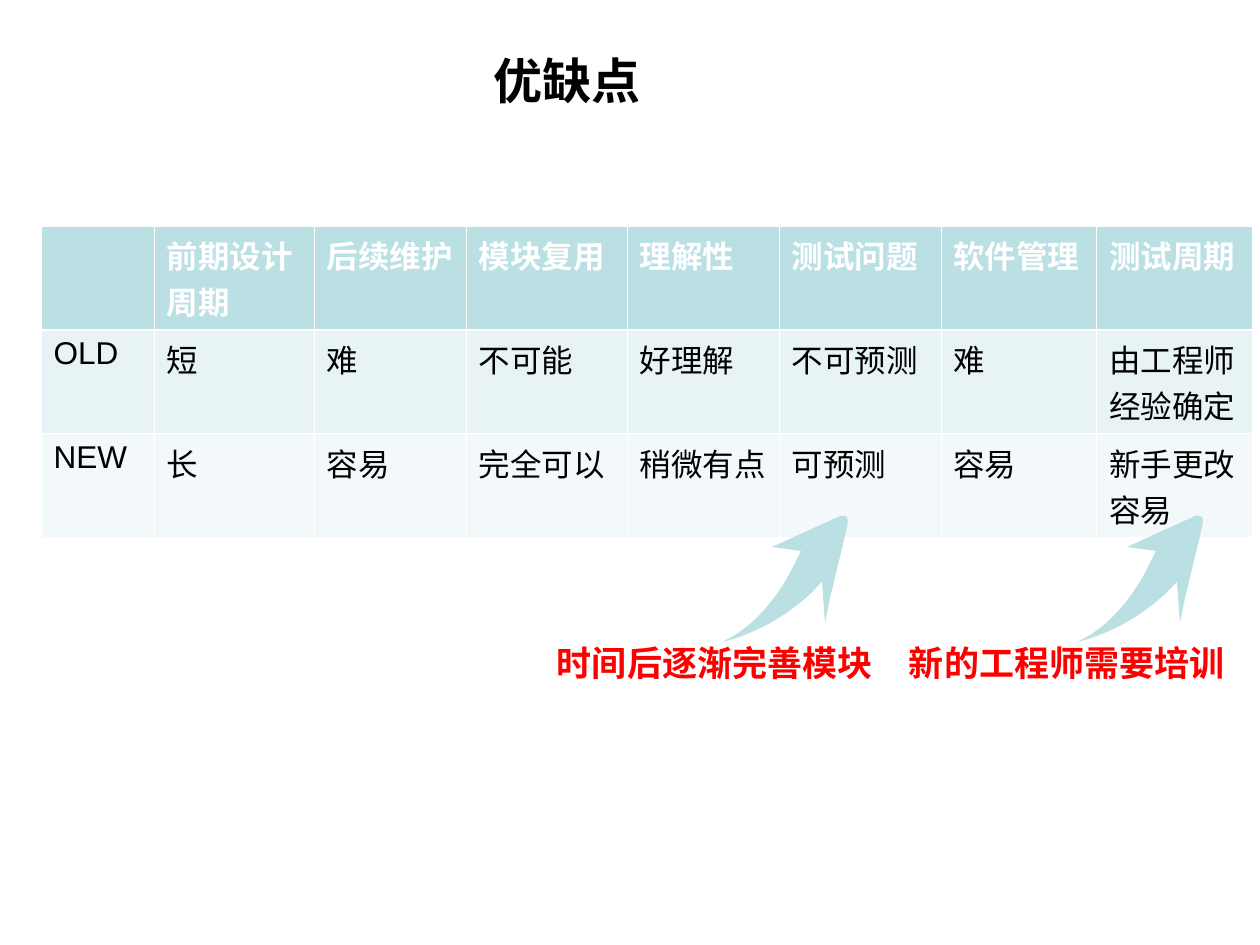
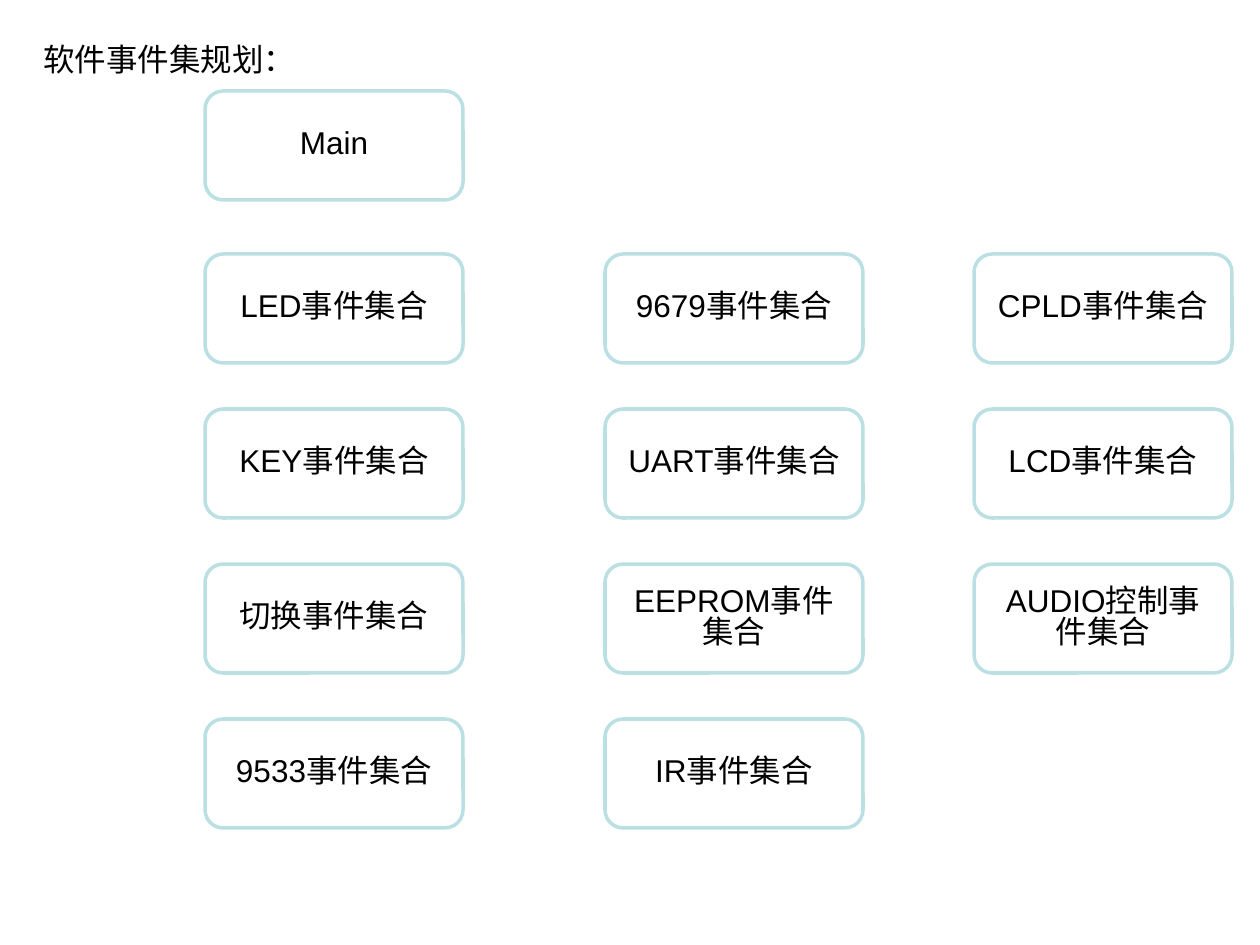
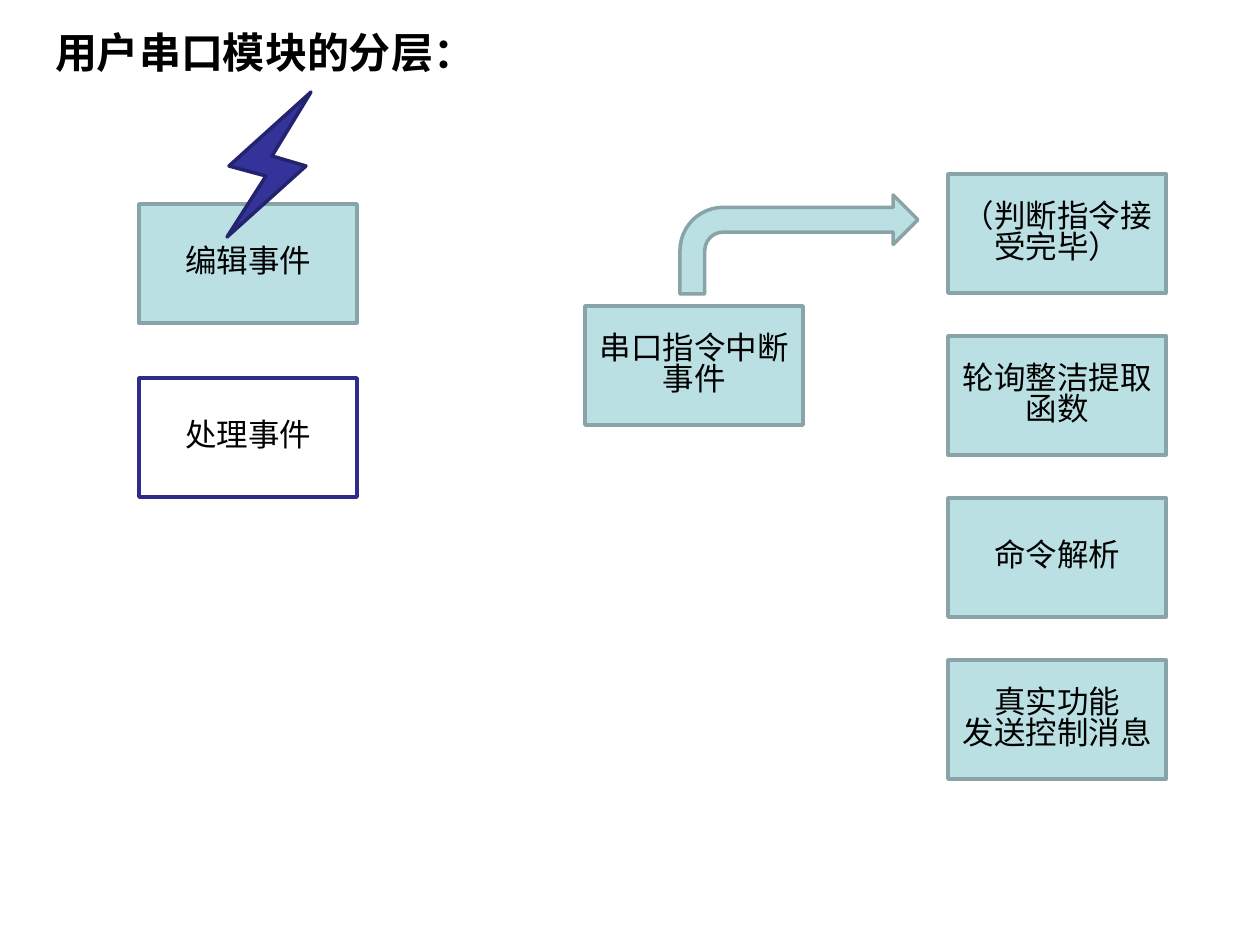
"""Build three slides on an event-driven firmware design: trade-offs, event sets and serial layers."""
from lxml import etree
from pptx import Presentation
from pptx.dml.color import RGBColor
from pptx.enum.shapes import MSO_SHAPE
from pptx.enum.text import MSO_ANCHOR, PP_ALIGN
from pptx.oxml.ns import qn
from pptx.util import Emu, Pt

RECTANGLE = MSO_SHAPE.RECTANGLE
EVENT_SHAPE = MSO_SHAPE.FLOWCHART_ALTERNATE_PROCESS
BENT_ARROW = MSO_SHAPE.BENT_ARROW
LEFT, CENTER = PP_ALIGN.LEFT, PP_ALIGN.CENTER
TOP, MIDDLE = MSO_ANCHOR.TOP, MSO_ANCHOR.MIDDLE

BLACK = RGBColor(0x00, 0x00, 0x00)
WHITE = RGBColor(0xFF, 0xFF, 0xFF)
RED = RGBColor(0xFF, 0x00, 0x00)
TEAL = RGBColor(0xBB, 0xE0, 0xE3)
TEAL_EDGE = RGBColor(0x89, 0xA4, 0xA7)
TEAL_LIGHT = RGBColor(0xE7, 0xF3, 0xF4)
TEAL_PALE = RGBColor(0xF3, 0xF9, 0xFA)
INDIGO = RGBColor(0x33, 0x33, 0x99)
INDIGO_EDGE = RGBColor(0x23, 0x23, 0x6F)
INDIGO_LINE = RGBColor(0x2D, 0x2D, 0x89)

FONT = "Arial"
PX_PER_INCH = 126
TITLE_ONLY = 5
SIDE_MARGIN, EDGE_MARGIN = 13, 6
BOX_SPACING = 0.83

COMPARISON = [
    ["", "前期设计周期", "后续维护", "模块复用", "理解性", "测试问题", "软件管理", "测试周期"],
    ["OLD", "短", "难", "不可能", "好理解", "不可预测", "难", "由工程师经验确定"],
    ["NEW", "长", "容易", "完全可以", "稍微有点", "可预测", "容易", "新手更改容易"],
]
ROW_FILLS = [TEAL, TEAL_LIGHT, TEAL_PALE]
COLUMN_WIDTHS = [113, 160, 152, 161, 152, 162, 156, 156]
TABLE_LEFT, TABLE_TOP, ROW_HEIGHT = 41, 226, 97
THIN_BORDER, HEADER_BORDER = 0.45, 1.47

REMARKS = [
    ("时间后逐渐完善模块", (544, 643, 352, 55), (722, 516)),
    ("新的工程师需要培训", (896, 643, 357, 55), (1077, 516)),
]
SWOOSH_START = (120, 0)
SWOOSH_PATH = [
    [(122, 0), (123, 0), (125, 1)],
    [(126, 4), (126, 8), (125, 11)],
    [(123, 20)], [(108, 82)], [(103, 107)], [(100, 66)], [(98, 68)],
    [(58, 112), (6, 125), (0, 126)],
    [(32, 112), (58, 79), (74, 45)],
    [(79, 35)], [(50, 31)], [(116, 1)], [(118, 0)],
]
CURVE_STEPS = 12

EVENT_COLUMNS = [
    (205, ["LED事件集合", "KEY事件集合", "切换事件集合", "9533事件集合"]),
    (605, ["9679事件集合", "UART事件集合", "EEPROM事件集合", "IR事件集合"]),
    (974, ["CPLD事件集合", "LCD事件集合", "AUDIO控制事件集合"]),
]
EVENT_WIDTH, EVENT_HEIGHT = 258, 109
MAIN_TOP, EVENT_TOP, EVENT_PITCH = 91, 254, 155

LAYER_BOXES = [
    (139, 204, "编辑事件", TEAL, TEAL_EDGE),
    (139, 378, "处理事件", WHITE, INDIGO_LINE),
    (585, 306, "串口指令中断事件", TEAL, TEAL_EDGE),
]
LAYER_STACK = ["（判断指令接受完毕）", "轮询整洁提取函数", "命令解析", "真实功能\n发送控制消息"]
LAYER_WIDTH, LAYER_HEIGHT = 218, 119
STACK_LEFT, STACK_TOP, STACK_PITCH = 948, 174, 162
BOLT = [(311, 92), (229, 166), (266, 176), (227, 237), (306, 166), (272, 156)]
TURN_ARROW = (680, 195, 238, 99)


def px(length):
    """Turn pixels into EMU."""
    return Emu(round(length * 914400 / PX_PER_INCH))


def write(frame, text, size=18, color=BLACK, bold=False, align=LEFT, anchor=TOP,
          spacing=BOX_SPACING, indent=SIDE_MARGIN):
    """Fill a text frame with one paragraph per line of text."""
    frame.word_wrap = True
    frame.vertical_anchor = anchor
    frame.margin_left, frame.margin_right = px(indent), px(SIDE_MARGIN)
    frame.margin_top = frame.margin_bottom = px(EDGE_MARGIN)
    frame.text = text
    for para in frame.paragraphs:
        para.alignment = align
        para.line_spacing = spacing
        para.space_before = Pt(0)
        para.font.name = FONT
        para.font.size = Pt(size)
        para.font.bold = bold
        para.font.color.rgb = color


def paint(shape, fill, line=None):
    """Give a shape its fill and optional outline, without a shadow."""
    shape.shadow.inherit = False
    shape.fill.solid()
    shape.fill.fore_color.rgb = fill
    if line is None:
        shape.line.fill.background()
    else:
        shape.line.color.rgb = line
        shape.line.width = Pt(2)


def add_titled_slide(deck, text, place, **style):
    """Add a title-only slide and place its title."""
    page = deck.slides.add_slide(deck.slide_layouts[TITLE_ONLY])
    title = page.shapes.title
    title.left, title.top, title.width, title.height = map(px, place)
    write(title.text_frame, text, **style)
    return page


def add_box(page, kind, place, text, fill, line):
    """Add an outlined shape with centred text."""
    box = page.shapes.add_shape(kind, *map(px, place))
    paint(box, fill, line)
    write(box.text_frame, text, align=CENTER, anchor=MIDDLE)


def add_outline(page, points, fill, line=None):
    """Add a closed freeform through points given in pixels."""
    builder = page.shapes.build_freeform(*map(px, points[0]))
    builder.add_line_segments([tuple(map(px, point)) for point in points[1:]], close=True)
    paint(builder.convert_to_shape(), fill, line)


def trace(start, segments):
    """Turn straight and cubic segments into a list of points."""
    points = [start]
    for segment in segments:
        if len(segment) == 1:
            points += segment
            continue
        controls = [points[-1], *segment]
        for step in range(1, CURVE_STEPS + 1):
            t = step / CURVE_STEPS
            weights = ((1 - t) ** 3, 3 * t * (1 - t) ** 2, 3 * t * t * (1 - t), t ** 3)
            points.append(tuple(sum(w * c[axis] for w, c in zip(weights, controls))
                                for axis in (0, 1)))
    return points


def set_borders(cell, widths):
    """Draw white cell borders of the given widths at left, right, top and bottom."""
    properties = cell._tc.get_or_add_tcPr()
    for index, (tag, width) in enumerate(zip(("a:lnL", "a:lnR", "a:lnT", "a:lnB"), widths)):
        border = etree.Element(qn(tag), w=str(Pt(width)))
        fill = etree.SubElement(border, qn("a:solidFill"))
        etree.SubElement(fill, qn("a:srgbClr"), val=str(WHITE))
        properties.insert(index, border)


def add_comparison(page):
    """Add the table that compares both designs."""
    frame = page.shapes.add_table(
        len(COMPARISON), len(COLUMN_WIDTHS), px(TABLE_LEFT), px(TABLE_TOP),
        px(sum(COLUMN_WIDTHS)), px(ROW_HEIGHT * len(COMPARISON)))
    table = frame.table
    for column, width in zip(table.columns, COLUMN_WIDTHS):
        column.width = px(width)
    for row, (texts, fill) in enumerate(zip(COMPARISON, ROW_FILLS)):
        header = row == 0
        above = HEADER_BORDER if row == 1 else THIN_BORDER
        below = HEADER_BORDER if header else THIN_BORDER
        for column, text in enumerate(texts):
            cell = table.cell(row, column)
            write(cell.text_frame, text, color=WHITE if header else BLACK,
                  bold=header, spacing=1.0)
            cell.fill.solid()
            cell.fill.fore_color.rgb = fill
            set_borders(cell, (THIN_BORDER, THIN_BORDER, above, below))


def build_comparison(deck):
    """Build the slide on strengths and weaknesses."""
    page = add_titled_slide(deck, "优缺点", (170, 54, 907, 72), size=28, bold=True, indent=324)
    add_comparison(page)
    swoosh = trace(SWOOSH_START, SWOOSH_PATH)
    for text, place, (left, top) in REMARKS:
        add_outline(page, [(left + x, top + y) for x, y in swoosh], TEAL)
        remark = page.shapes.add_textbox(*map(px, place))
        write(remark.text_frame, text, size=20, color=RED, bold=True)


def build_events(deck):
    """Build the slide on the planned event sets."""
    page = add_titled_slide(deck, "软件事件集规划：", (30, 40, 501, 50))
    boxes = [(EVENT_COLUMNS[0][0], MAIN_TOP, "Main")]
    boxes += [(left, EVENT_TOP + row * EVENT_PITCH, text)
              for left, texts in EVENT_COLUMNS for row, text in enumerate(texts)]
    for left, top, text in boxes:
        add_box(page, EVENT_SHAPE, (left, top, EVENT_WIDTH, EVENT_HEIGHT), text, WHITE, TEAL)


def build_layers(deck):
    """Build the slide on the layers of the serial module."""
    page = add_titled_slide(deck, "用户串口模块的分层：", (42, 29, 782, 63), size=24, bold=True)
    stack = [(STACK_LEFT, STACK_TOP + row * STACK_PITCH, text, TEAL, TEAL_EDGE)
             for row, text in enumerate(LAYER_STACK)]
    for left, top, text, fill, line in LAYER_BOXES + stack:
        add_box(page, RECTANGLE, (left, top, LAYER_WIDTH, LAYER_HEIGHT), text, fill, line)
    add_outline(page, BOLT, INDIGO, INDIGO_EDGE)
    paint(page.shapes.add_shape(BENT_ARROW, *map(px, TURN_ARROW)), TEAL, TEAL_EDGE)


def main():
    """Build and save the deck."""
    deck = Presentation()
    deck.slide_width, deck.slide_height = px(1260), px(945)
    build_comparison(deck)
    build_events(deck)
    build_layers(deck)
    deck.save("out.pptx")


if __name__ == "__main__":
    main()
